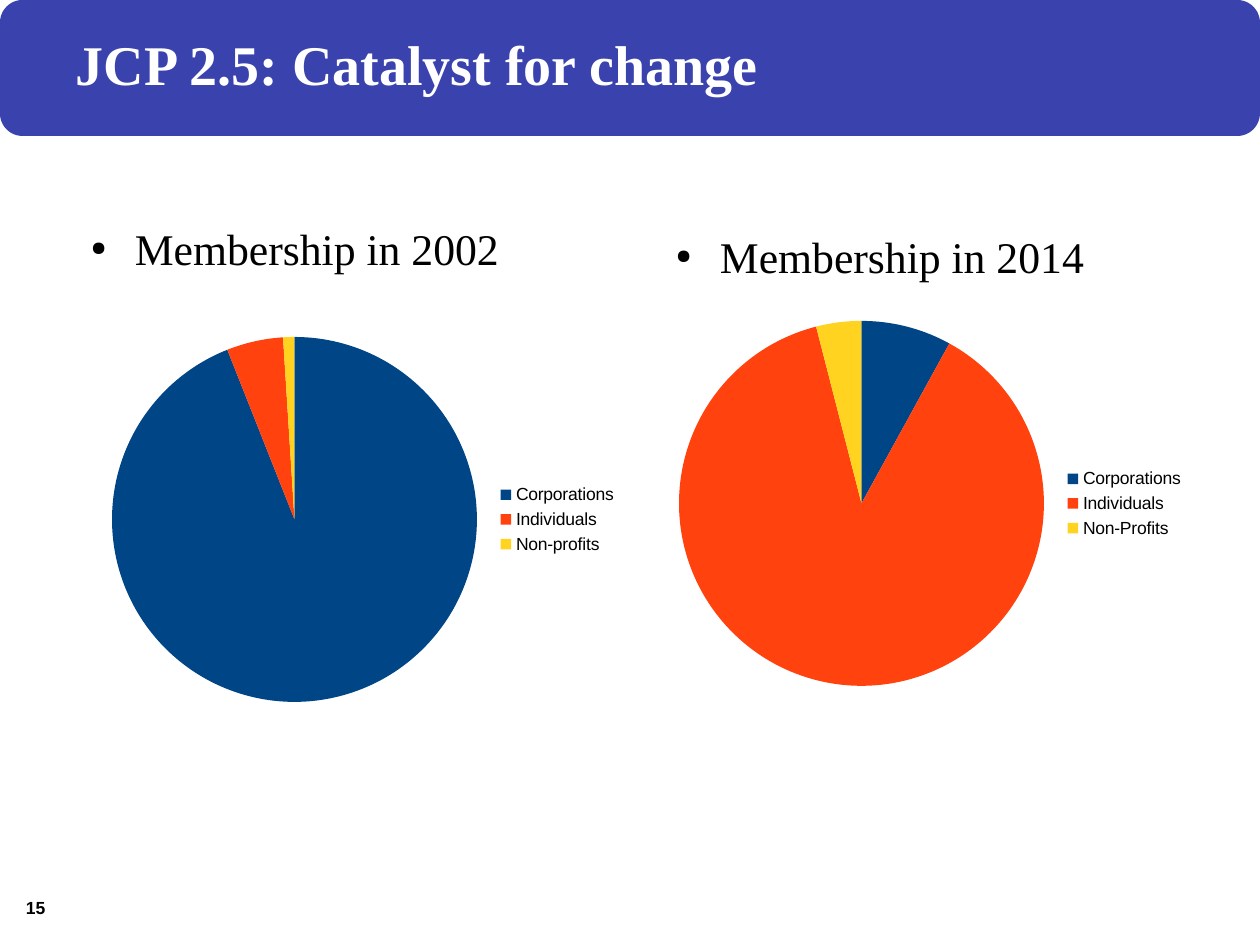
from lxml import etree
from pptx import Presentation
from pptx.chart.data import CategoryChartData
from pptx.dml.color import RGBColor
from pptx.enum.chart import XL_CHART_TYPE, XL_LEGEND_POSITION
from pptx.enum.shapes import MSO_SHAPE
from pptx.oxml import parse_xml
from pptx.oxml.ns import nsdecls, qn
from pptx.util import Emu, Pt

PIE = XL_CHART_TYPE.PIE
RIGHT = XL_LEGEND_POSITION.RIGHT
ROUND = MSO_SHAPE.ROUNDED_RECTANGLE

HEX = {"band": "3A42AD", "white": "FFFFFF", "black": "000000"}
SLICES = ["004586", "FF420E", "FFD320"]
SERIF, SANS = "Times New Roman", "Arial"

TITLE = "JCP 2.5: Catalyst for change"
PAGE = "15"
HEADS = [
    ("Membership in 2002", (63, 220, 553, 624), (13, 6)),
    ("Membership in 2014", (661, 234, 449, 49), (0, 0)),
]
PIES = [
    (["Corporations", "Individuals", "Non-Profits"], [8, 88, 4],
     (661, 220, 536, 567), (679, 321)),
    (["Corporations", "Individuals", "Non-profits"], [94, 5, 1],
     (94, 283, 536, 473), (112, 337)),
]
DISC = 365


def px(n):
    return Emu(round(n * 914400 / 126))


def color(name):
    return RGBColor.from_string(HEX[name])


def add_text(slide, text, box, font=SERIF, size=25, tint="black", bold=False,
             pad=(13, 6, 13, 6), lead=0.95, after=0, bullet=False):
    frame = slide.shapes.add_textbox(*map(px, box)).text_frame
    frame.word_wrap = True
    (frame.margin_left, frame.margin_top,
     frame.margin_right, frame.margin_bottom) = map(px, pad)
    para = frame.paragraphs[0]
    para.line_spacing = lead
    para.space_after = Pt(after)
    if bullet:
        props = para._p.get_or_add_pPr()
        props.set("marL", str(px(59)))
        props.set("indent", str(px(-44)))
        etree.SubElement(props, qn("a:buSzPct")).set("val", "45000")
        etree.SubElement(props, qn("a:buChar")).set("char", "●")
    run = para.add_run()
    run.text = text
    run.font.name, run.font.size, run.font.bold = font, Pt(size), bold
    run.font.color.rgb = color(tint)


def add_pie(slide, cats, vals, box, disc):
    data = CategoryChartData()
    data.categories = cats
    data.add_series("Series 1", vals)
    chart = slide.shapes.add_chart(PIE, *map(px, box), data).chart
    chart.has_title = False
    chart.has_legend = True
    chart.legend.position = RIGHT
    chart.legend.include_in_layout = False
    for font in (chart.font, chart.legend.font):
        font.name, font.size = SANS, Pt(10)
        font.color.rgb = color("black")
    plot = chart.plots[0]
    plot.vary_by_categories = True
    for i, tint in enumerate(SLICES):
        fill = plot.series[0].points[i].format.fill
        fill.solid()
        fill.fore_color.rgb = RGBColor.from_string(tint)
    left, top, wide, high = box
    parts = {"x": (disc[0] - left) / wide, "y": (disc[1] - top) / high,
             "w": DISC / wide, "h": DISC / high}
    area = chart._chartSpace.chart.plotArea
    for old in area.findall(qn("c:layout")):
        area.remove(old)
    modes = '<c:layoutTarget val="inner"/><c:xMode val="edge"/><c:yMode val="edge"/>'
    sizes = "".join(f'<c:{k} val="{v:.4f}"/>' for k, v in parts.items())
    area.insert(0, parse_xml(
        f'<c:layout {nsdecls("c")}><c:manualLayout>{modes}{sizes}'
        '</c:manualLayout></c:layout>'))


def main():
    deck = Presentation()
    deck.slide_width, deck.slide_height = px(1260), px(945)
    slide = deck.slides.add_slide(deck.slide_layouts[6])
    add_text(slide, PAGE, (13, 892, 68, 33), font=SANS, size=10, bold=True,
             pad=(13, 10, 13, 6), lead=0.77)
    band = slide.shapes.add_shape(ROUND, *map(px, (0, 0, 1260, 136)))
    band.adjustments[0] = 0.167
    band.shadow.inherit = False
    band.fill.solid()
    band.fill.fore_color.rgb = color("band")
    band.line.fill.background()
    add_text(slide, TITLE, (63, 28, 1070, 120), size=32, tint="white", bold=True)
    for text, box, pad in HEADS:
        add_text(slide, text, box, pad=pad * 2, after=14.2, bullet=True)
    for pie in PIES:
        add_pie(slide, *pie)
    deck.save("out.pptx")


if __name__ == "__main__":
    main()
